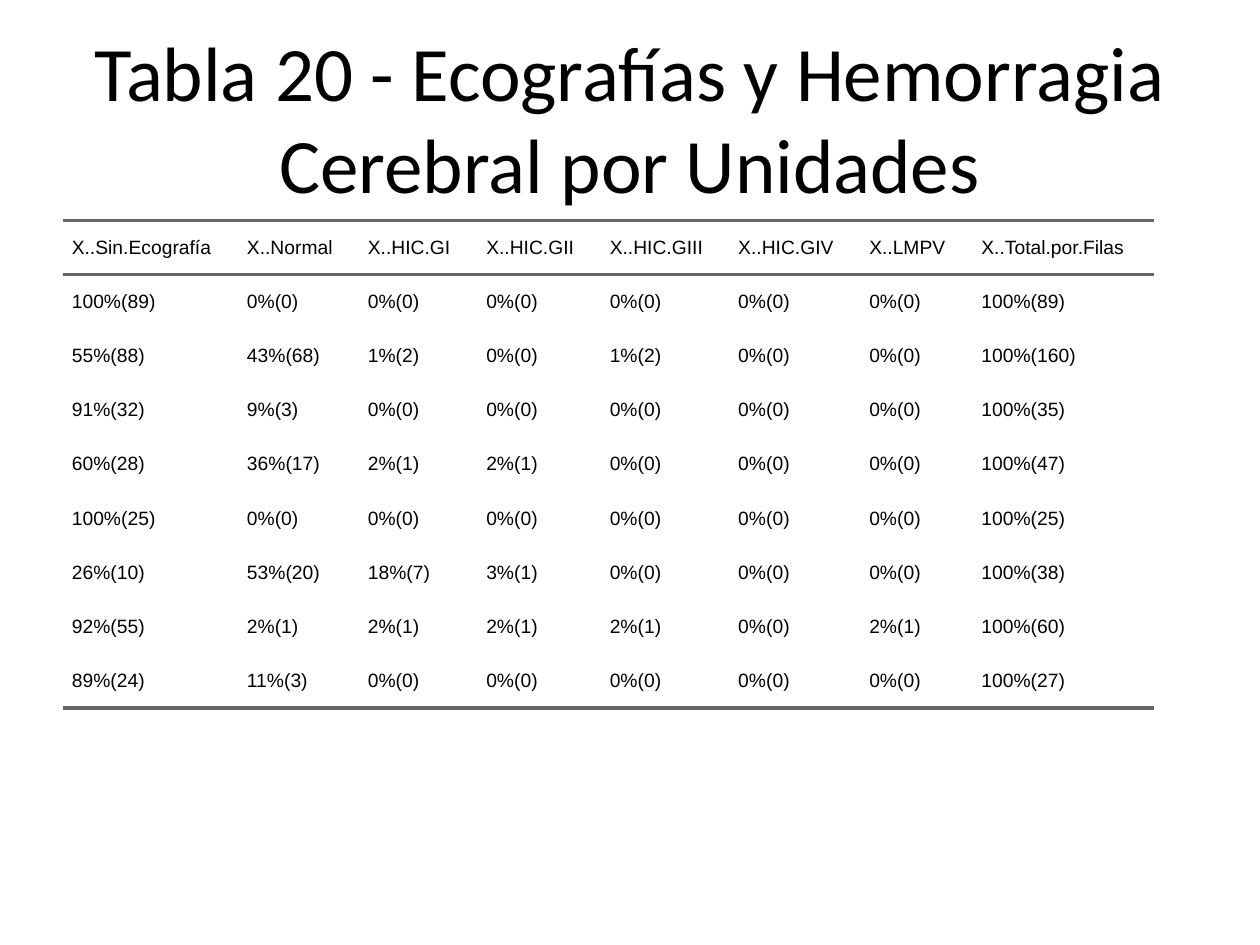
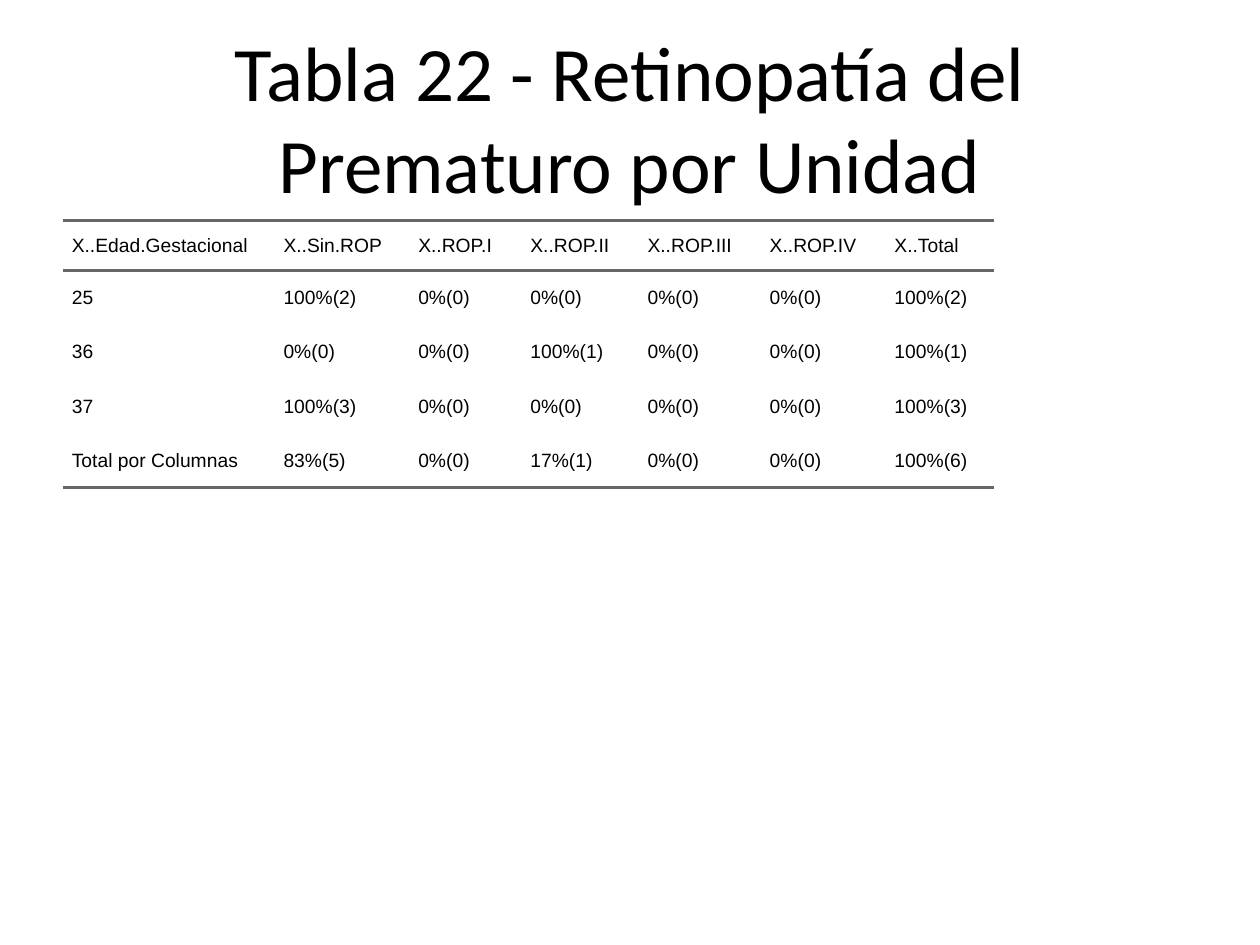
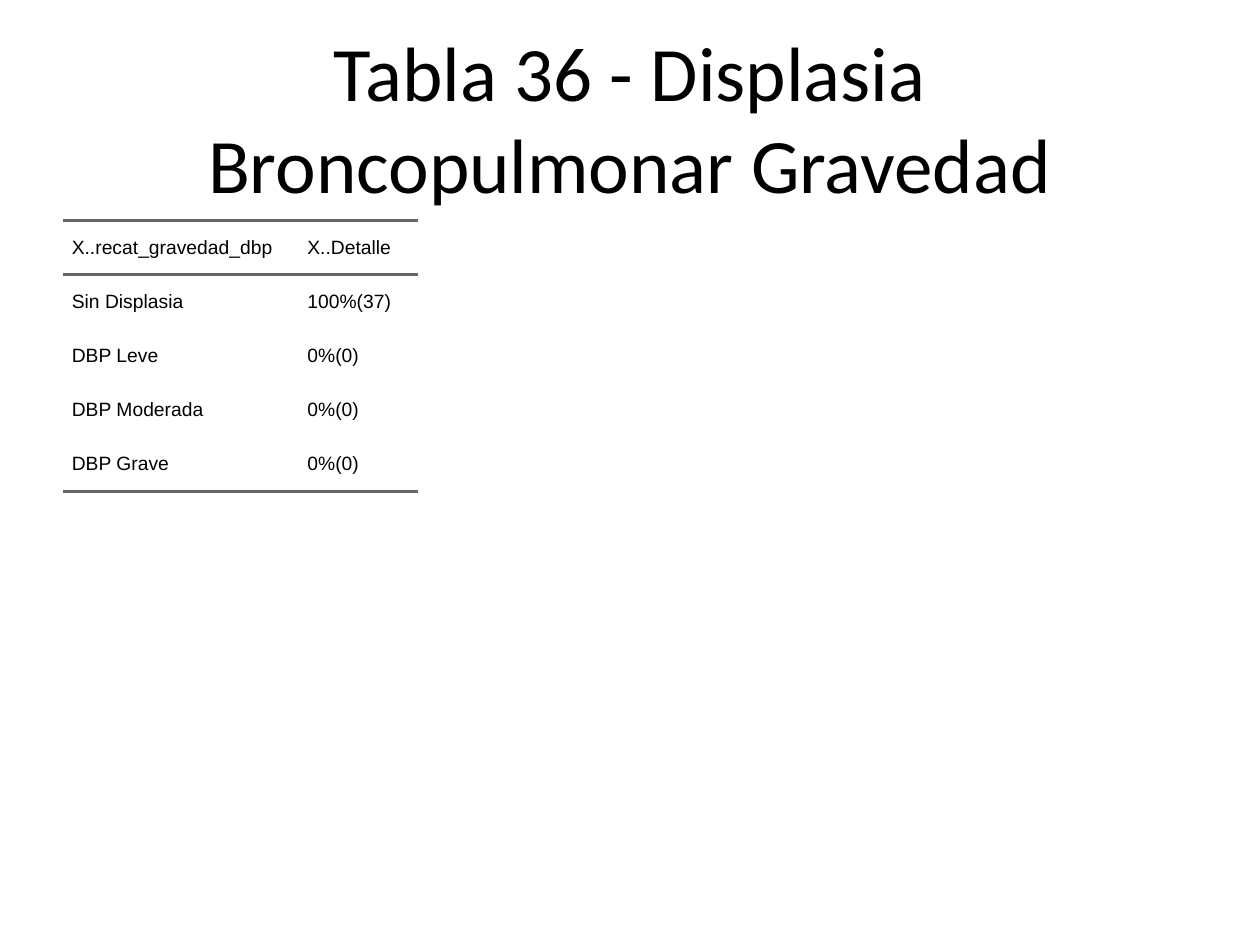
"""Builds three slides of neonatal outcome tables."""
from lxml.etree import SubElement
from pptx import Presentation
from pptx.dml.color import RGBColor
from pptx.enum.text import MSO_ANCHOR, MSO_AUTO_SIZE, PP_ALIGN
from pptx.oxml import parse_xml
from pptx.oxml.ns import nsdecls, qn
from pptx.util import Inches, Pt

BLACK = RGBColor(0x00, 0x00, 0x00)
RULE_GRAY = RGBColor(0x66, 0x66, 0x66)
RULE_WIDTH = Pt(2)
NO_GRID_STYLE = "{2D5ABB26-0587-4C30-8999-92F81FD0307C}"
ROW_HEIGHT = 0.43

ULTRASOUND = [
    "X..Sin.Ecografía X..Normal X..HIC.GI X..HIC.GII X..HIC.GIII X..HIC.GIV X..LMPV X..Total.por.Filas".split(),
    "100%(89) 0%(0) 0%(0) 0%(0) 0%(0) 0%(0) 0%(0) 100%(89)".split(),
    "55%(88) 43%(68) 1%(2) 0%(0) 1%(2) 0%(0) 0%(0) 100%(160)".split(),
    "91%(32) 9%(3) 0%(0) 0%(0) 0%(0) 0%(0) 0%(0) 100%(35)".split(),
    "60%(28) 36%(17) 2%(1) 2%(1) 0%(0) 0%(0) 0%(0) 100%(47)".split(),
    "100%(25) 0%(0) 0%(0) 0%(0) 0%(0) 0%(0) 0%(0) 100%(25)".split(),
    "26%(10) 53%(20) 18%(7) 3%(1) 0%(0) 0%(0) 0%(0) 100%(38)".split(),
    "92%(55) 2%(1) 2%(1) 2%(1) 2%(1) 0%(0) 2%(1) 100%(60)".split(),
    "89%(24) 11%(3) 0%(0) 0%(0) 0%(0) 0%(0) 0%(0) 100%(27)".split(),
]
RETINOPATHY = [
    "X..Edad.Gestacional X..Sin.ROP X..ROP.I X..ROP.II X..ROP.III X..ROP.IV X..Total".split(),
    "25 100%(2) 0%(0) 0%(0) 0%(0) 0%(0) 100%(2)".split(),
    "36 0%(0) 0%(0) 100%(1) 0%(0) 0%(0) 100%(1)".split(),
    "37 100%(3) 0%(0) 0%(0) 0%(0) 0%(0) 100%(3)".split(),
    ["Total por Columnas"] + "83%(5) 0%(0) 17%(1) 0%(0) 0%(0) 100%(6)".split(),
]
DYSPLASIA = [
    ["X..recat_gravedad_dbp", "X..Detalle"],
    ["Sin Displasia", "100%(37)"],
    ["DBP Leve", "0%(0)"],
    ["DBP Moderada", "0%(0)"],
    ["DBP Grave", "0%(0)"],
]


def write(frame, text, font="Arial", size=11, color=BLACK, align=PP_ALIGN.LEFT, indent=0):
    """Put one formatted paragraph into a text frame."""
    paragraph = frame.paragraphs[0]
    paragraph.alignment = align
    if indent:
        properties = paragraph._p.get_or_add_pPr()
        properties.set("marL", str(Inches(indent)))
        properties.set("indent", "0")
    run = paragraph.add_run()
    run.text = text
    run.font.name = font
    run.font.size = Pt(size)
    run.font.color.rgb = color


class Report:
    """Holds the shared style and the current slide."""

    def __init__(self):
        """Start an empty 4:3 presentation."""
        self.deck = Presentation()
        self.deck.slide_width, self.deck.slide_height = Inches(10), Inches(7.5)
        self.slide = None

    def start_slide(self, title):
        """Add a slide with its centred title."""
        self.slide = self.deck.slides.add_slide(self.deck.slide_layouts.get_by_name("Title Only"))
        heading = self.slide.shapes.title
        heading.left, heading.top = Inches(0.5), Inches(0.3)
        heading.width, heading.height = Inches(9), Inches(1.25)
        frame = heading.text_frame
        frame.word_wrap = True
        frame.auto_size = MSO_AUTO_SIZE.NONE
        frame.vertical_anchor = MSO_ANCHOR.MIDDLE
        write(frame, title, font="Calibri", size=44, align=PP_ALIGN.CENTER)

    def rule(self, cell, edges):
        """Draw gray rules on the given edges of a cell."""
        properties = cell._tc.get_or_add_tcPr()
        for position, edge in enumerate(edges):
            line = parse_xml(f'<a:{edge} {nsdecls("a")} w="{RULE_WIDTH}"/>')
            fill = SubElement(line, qn("a:solidFill"))
            SubElement(fill, qn("a:srgbClr"), val=str(RULE_GRAY))
            properties.insert(position, line)

    def table(self, records, widths, header_height=ROW_HEIGHT):
        """Add a table ruled above and below its header and at its foot."""
        heights = [header_height] + [ROW_HEIGHT] * (len(records) - 1)
        table = self.slide.shapes.add_table(
            len(records), len(widths), Inches(0.5), Inches(1.75),
            Inches(sum(widths)), Inches(sum(heights))).table
        table.first_row = table.horz_banding = False
        table._tbl.tblPr.find(qn("a:tableStyleId")).text = NO_GRID_STYLE
        for column, width in zip(table.columns, widths):
            column.width = Inches(width)
        edges_by_row = {0: ["lnT", "lnB"], len(records) - 1: ["lnB"]}
        for index, (record, height) in enumerate(zip(records, heights)):
            table.rows[index].height = Inches(height)
            for cell, text in zip(table.rows[index].cells, record):
                cell.margin_left = cell.margin_right = cell.margin_top = cell.margin_bottom = 0
                cell.vertical_anchor = MSO_ANCHOR.MIDDLE
                cell.fill.background()
                write(cell.text_frame, text, indent=0.07)
                self.rule(cell, edges_by_row.get(index, []))


def main():
    """Build and save the report."""
    report = Report()
    report.start_slide("Tabla 20 - Ecografías y Hemorragia Cerebral por Unidades")
    report.table(ULTRASOUND, [1.39, 0.96, 0.94, 0.98, 1.02, 1.04, 0.89, 1.44])
    report.start_slide("Tabla 22 - Retinopatía del Prematuro por Unidad")
    report.table(RETINOPATHY, [1.68, 1.07, 0.89, 0.93, 0.97, 0.99, 0.86], header_height=0.4)
    report.start_slide("Tabla 36 - Displasia Broncopulmonar Gravedad")
    report.table(DYSPLASIA, [1.87, 0.95])
    report.deck.save("out.pptx")


if __name__ == "__main__":
    main()
